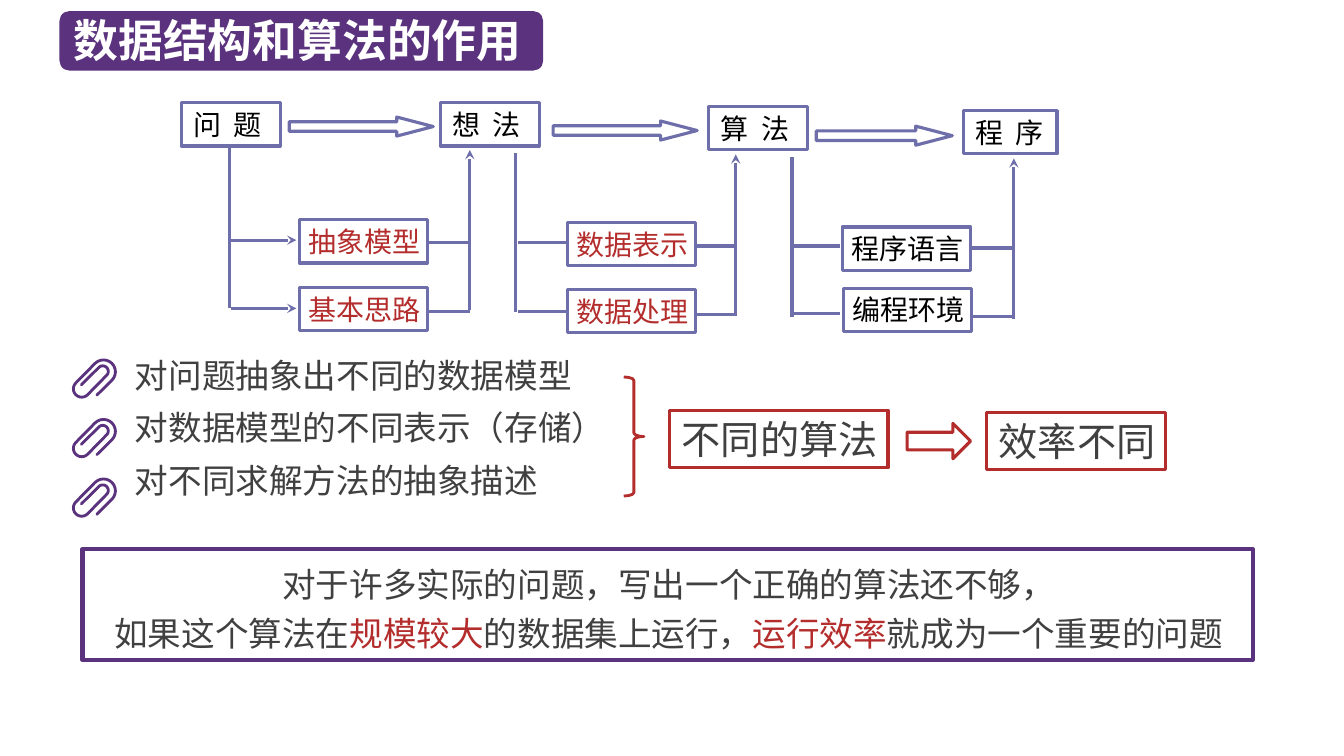
from collections import namedtuple
from math import cos, radians, sin

from lxml.etree import SubElement
from pptx import Presentation
from pptx.dml.color import RGBColor
from pptx.enum.shapes import MSO_CONNECTOR, MSO_SHAPE as Preset
from pptx.enum.text import MSO_ANCHOR as Anchor, MSO_AUTO_SIZE as AutoSize, PP_ALIGN as Align
from pptx.oxml.ns import qn
from pptx.util import Cm, Pt

PURPLE = RGBColor(0x5A, 0x32, 0x7D)
LAVENDER = RGBColor(0x6E, 0x6E, 0xAA)
RED = RGBColor(0xB4, 0x2D, 0x2D)
GREY = RGBColor(0x40, 0x40, 0x40)
BLACK = RGBColor(0, 0, 0)
WHITE = RGBColor(0xFF, 0xFF, 0xFF)
FONT = "Noto Sans CJK SC"

STAGES = [  # text, left, top, width
    ("问 题", 4.57, 2.59, 2.49),
    ("想 法", 11.1, 2.59, 2.49),
    ("算 法", 17.86, 2.69, 2.49),
    ("程 序", 24.28, 2.79, 2.36),
]
STAGE_ARROWS = [(7.29, 2.95, 3.63), (13.94, 3.05, 3.63), (20.57, 3.18, 3.43)]
BOX_HEIGHT = 1.09
ACTIVITY_WIDTH = 3.23

# Spans are (start, end); each row is (activity, box left, box top, entry y, exit y)
Step = namedtuple("Step", "color drop_x drop entry exit riser_x riser headed rows")
STEPS = [
    Step(RED, 5.79, (3.73, 7.77), (5.82, 7.47), (10.77, 11.84), 11.84, (7.8, 3.78), True,
         [("抽象模型", 7.54, 5.54, 6.05, 6.12), ("基本思路", 7.54, 7.24, 7.77, 7.85)]),
    Step(RED, 13.0, (3.86, 7.87), (13.06, 14.27), (17.53, 18.57), 18.54, (7.92, 3.89), False,
         [("数据表示", 14.3, 5.61, 6.12, 6.2), ("数据处理", 14.3, 7.29, 7.85, 7.92)]),
    Step(BLACK, 19.96, (3.96, 7.98), (19.99, 21.18), (24.5, 25.53), 25.55, (8.03, 3.99), False,
         [("程序语言", 21.23, 5.72, 6.2, 6.25), ("编程环境", 21.26, 7.26, 7.9, 7.98)]),
]
POINTS = ["对问题抽象出不同的数据模型", "对数据模型的不同表示（存储）", "对不同求解方法的抽象描述"]
CONCLUSION = [
    [("对于许多实际的问题，写出一个正确的算法还不够，", GREY)],
    [("如果这个算法在", GREY), ("规模较大", RED), ("的数据集上运行，", GREY),
     ("运行效率", RED), ("就成为一个重要的问题", GREY)],
]


def set_attributes(target, values):
    for name, value in values.items():
        setattr(target, name, value)


def place(shape, left, top, width, height):
    set_attributes(shape, {"left": Cm(left), "top": Cm(top),
                           "width": Cm(width), "height": Cm(height)})


def write(shape, paragraphs, size, bold=False, spacing=None, anchor=Anchor.MIDDLE,
          inset=0.15, **layout):
    """Fill a shape with paragraphs, each a list of (text, color) runs."""
    frame = shape.text_frame
    set_attributes(frame, {
        "auto_size": AutoSize.NONE, "word_wrap": True, "vertical_anchor": anchor,
        "margin_left": Cm(inset), "margin_right": Cm(0.1),
        "margin_top": Cm(0.03), "margin_bottom": Cm(0.03)})
    for index, runs in enumerate(paragraphs):
        paragraph = frame.add_paragraph() if index else frame.paragraphs[0]
        set_attributes(paragraph, layout)
        for text, color in runs:
            run = paragraph.add_run()
            run.text = text
            set_attributes(run.font, {"size": Pt(size), "bold": bold, "name": FONT})
            run.font.color.rgb = color
            properties = run.font._element
            SubElement(properties, qn("a:ea")).set("typeface", FONT)
            if spacing:
                properties.set("spc", str(spacing))


def outline(shape, color, weight):
    shape.shadow.inherit = False
    shape.fill.background()
    shape.line.color.rgb = color
    shape.line.width = Pt(weight)


def outlined(slide, preset, left, top, width, height, color, weight=2.25, adjust=()):
    shape = slide.shapes.add_shape(preset, Cm(left), Cm(top), Cm(width), Cm(height))
    outline(shape, color, weight)
    for index, value in enumerate(adjust):
        shape.adjustments[index] = value
    return shape


def add_line(slide, x1, y1, x2, y2, headed=False):
    line = slide.shapes.add_connector(MSO_CONNECTOR.STRAIGHT, Cm(x1), Cm(y1), Cm(x2), Cm(y2))
    line.line.color.rgb = LAVENDER
    line.line.width = Pt(2.25)
    properties = line.element.spPr
    if headed:
        SubElement(properties.find(qn("a:ln")), qn("a:tailEnd")).set("type", "stealth")
    SubElement(properties, qn("a:effectLst"))


def add_title(slide):
    banner = slide.shapes.add_shape(Preset.ROUNDED_RECTANGLE,
                                    Cm(1.5), Cm(0.28), Cm(12.19), Cm(1.5))
    banner.shadow.inherit = False
    banner.fill.solid()
    banner.fill.fore_color.rgb = PURPLE
    banner.line.fill.background()
    title = slide.shapes.title
    title.element.addprevious(banner.element)
    place(title, 1.6, 0.18, 12.24, 1.63)
    write(title, [[("数据结构和算法的作用", WHITE)]], 32, bold=True, inset=0.25,
          alignment=Align.LEFT)


def add_step(slide, step):
    """Draw the two activities that lead from one stage to the next."""
    add_line(slide, step.drop_x, step.drop[0], step.drop_x, step.drop[1])
    for activity, left, top, entry_y, exit_y in step.rows:
        box = outlined(slide, Preset.RECTANGLE, left, top, ACTIVITY_WIDTH, BOX_HEIGHT, LAVENDER)
        write(box, [[(activity, step.color)]], 20, alignment=Align.CENTER)
        add_line(slide, step.entry[0], entry_y, step.entry[1], entry_y, step.headed)
        add_line(slide, step.exit[0], exit_y, step.exit[1], exit_y)
    add_line(slide, step.riser_x, step.riser[0], step.riser_x, step.riser[1], headed=True)


def add_process(slide):
    for text, left, top, width in STAGES:
        box = outlined(slide, Preset.RECTANGLE, left, top, width, BOX_HEIGHT, LAVENDER)
        write(box, [[(text, BLACK)]], 20, spacing=225, inset=0.3, alignment=Align.LEFT)
    for left, top, width in STAGE_ARROWS:
        outlined(slide, Preset.RIGHT_ARROW, left, top, width, 0.48, LAVENDER, adjust=(0.5, 1.92))
    for step in STEPS:
        add_step(slide, step)


def add_paperclip(slide, left, top):
    """Draw a tilted clip as three half-circle bends joined by straight wires."""
    wire = [(0.66, 0.92)]
    for x, y, radius, start in [(0.83, 0.33, 0.3, 45), (0.28, 0.76, 0.21, -135),
                                (0.81, 0.32, 0.14, 45)]:
        for turn in range(0, 181, 15):
            angle = radians(start - turn)
            wire.append((x + radius * cos(angle), y + radius * sin(angle)))
    wire.append((0.27, 0.66))
    bends = [(Cm(left + x), Cm(top + y)) for x, y in wire]
    builder = slide.shapes.build_freeform(*bends[0])
    builder.add_line_segments(bends[1:], close=False)
    clip = builder.convert_to_shape()
    outline(clip, PURPLE, 2)
    clip.element.spPr.find(qn("a:ln")).set("cap", "rnd")


def add_points(slide):
    body = slide.placeholders[1]
    place(body, 3.15, 8.9, 12.7, 4.8)
    write(body, [[(point, GREY)] for point in POINTS], 24, anchor=Anchor.TOP, inset=0.25,
          alignment=Align.LEFT, space_before=Pt(0), space_after=Pt(8.8))
    for index, paragraph in enumerate(body.text_frame.paragraphs):
        properties = paragraph._p.get_or_add_pPr()
        properties.set("marL", "0")
        properties.set("indent", "0")
        SubElement(properties, qn("a:buNone"))
        add_paperclip(slide, 1.78, 9.04 + 1.5 * index)


def add_outcome(slide):
    outlined(slide, Preset.RIGHT_BRACE, 15.72, 9.5, 0.51, 3.0, RED, 2, (0.17, 0.5))
    outlined(slide, Preset.RIGHT_ARROW, 22.86, 10.67, 1.6, 0.89, RED)
    for text, left, top, width in [("不同的算法", 16.87, 10.34, 5.51),
                                   ("效率不同", 24.87, 10.39, 4.5)]:
        box = outlined(slide, Preset.RECTANGLE, left, top, width, 1.45, RED)
        write(box, [[(text, GREY)]], 28, alignment=Align.CENTER)


def add_conclusion(slide):
    box = outlined(slide, Preset.RECTANGLE, 2.08, 13.84, 29.49, 2.79, PURPLE, 3)
    write(box, CONCLUSION, 24, alignment=Align.CENTER, line_spacing=Pt(35))


def main():
    deck = Presentation()
    deck.slide_width, deck.slide_height = Cm(33.87), Cm(19.05)
    slide = deck.slides.add_slide(deck.slide_layouts[1])
    for add_part in (add_title, add_process, add_points, add_outcome, add_conclusion):
        add_part(slide)
    deck.save("out.pptx")


if __name__ == "__main__":
    main()
